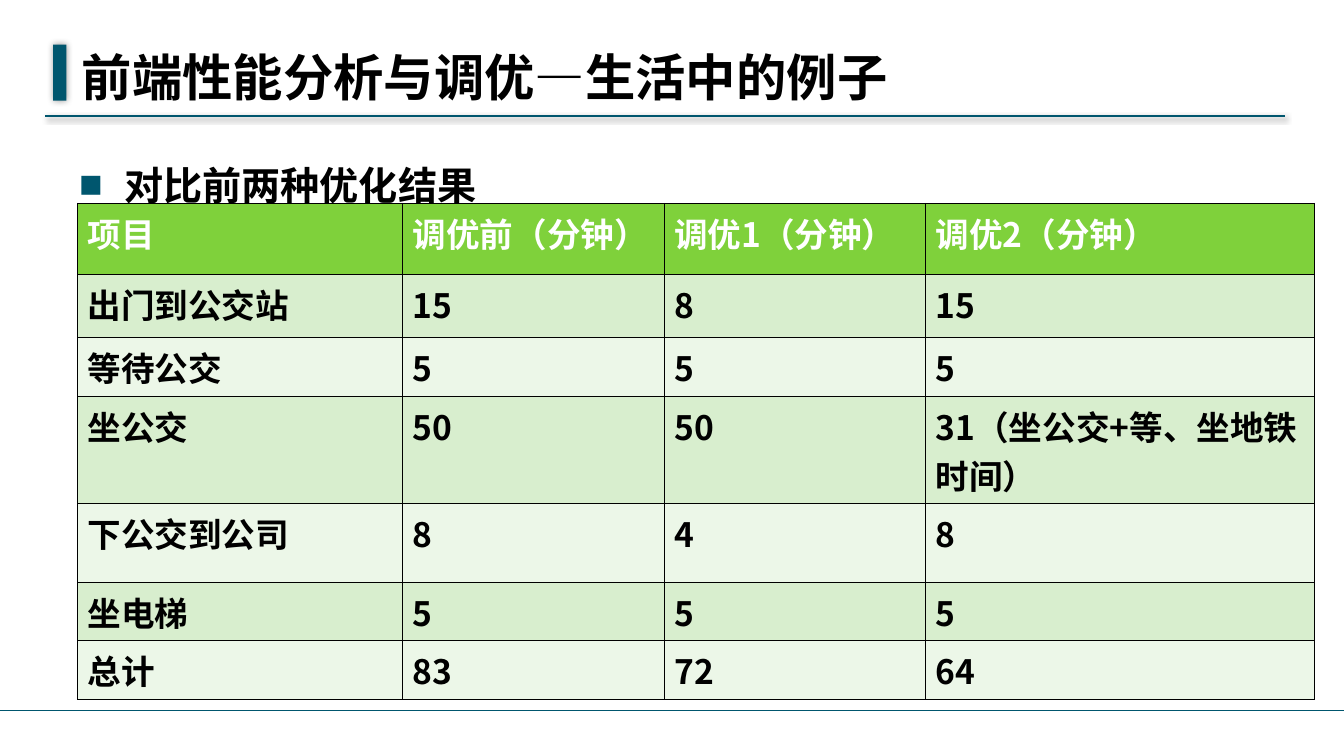
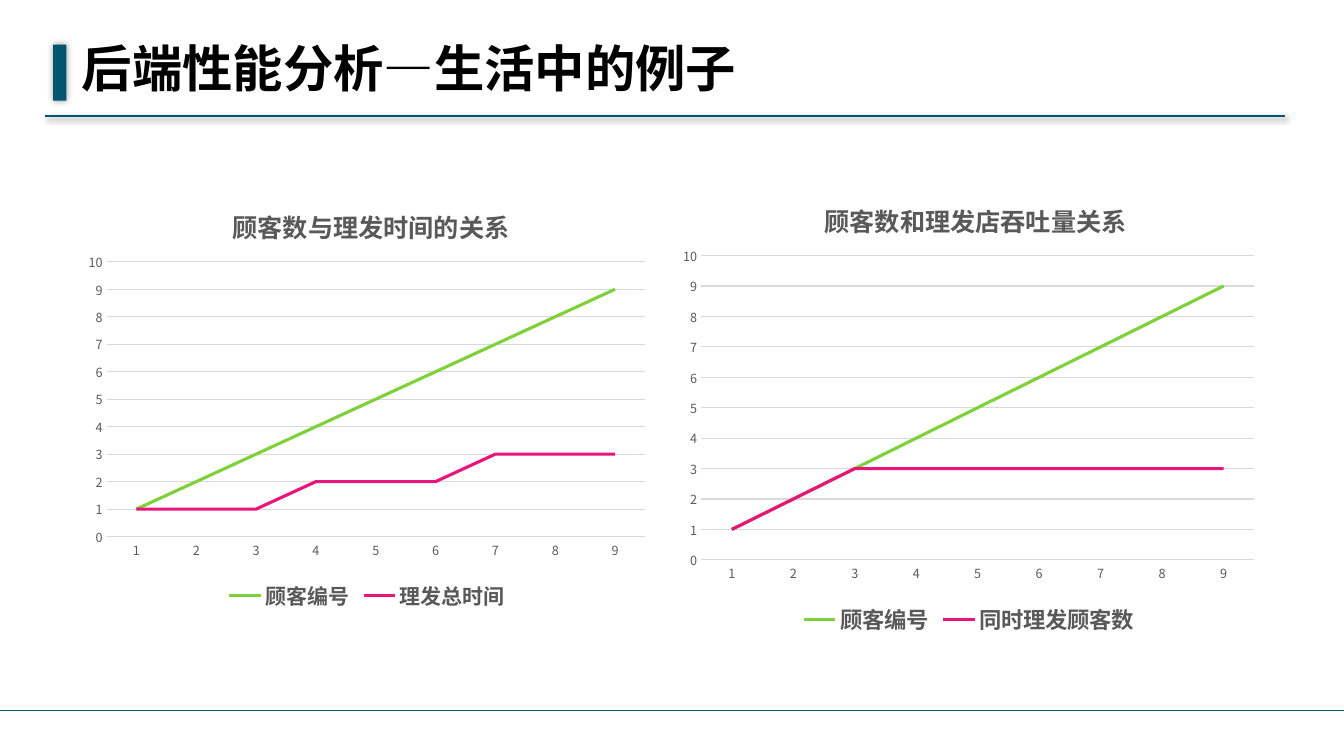
from dataclasses import dataclass
from typing import Any

from lxml import etree
from pptx import Presentation
from pptx import util as u
from pptx.chart import data
from pptx.dml import color
from pptx.enum import chart as charts
from pptx.enum import shapes, text
from pptx.oxml import ns

SANS = "Noto Sans CJK SC"
SERIF = "Times New Roman"
TEAL, GREEN, PINK = "00566E", "7FD13B", "EA157A"
BLACK, WHITE, GRAY, GRID = "000000", "FFFFFF", "595959", "D9D9D9"
BANDS = ("D8EECE", "ECF7E8")
WIDTH, HEIGHT = 961, 540
CUSTOMERS = tuple(range(1, 10))


@dataclass(frozen=True)
class Box:
    x: float
    y: float
    w: float
    h: float

    def lengths(self) -> tuple[u.Pt, ...]:
        return tuple(u.Pt(v) for v in (self.x, self.y, self.w, self.h))


@dataclass(frozen=True)
class LineChart:
    title: str
    box: Box
    title_at: tuple[float, float]
    plot: Box
    legend_size: float
    measure: str
    values: tuple[int, ...]


COLUMN_WIDTHS = (232.5, 187, 187, 278)
ROW_HEIGHTS = (51, 45, 38, 56, 56, 38, 38)
COMMUTE = (
    ("项目", "调优前（分钟）", "调优1（分钟）", "调优2（分钟）"),
    ("出门到公交站", "15", "8", "15"),
    ("等待公交", "5", "5", "5"),
    ("坐公交", "50", "50", "31（坐公交+等、坐地铁时间）"),
    ("下公交到公司", "8", "4", "8"),
    ("坐电梯", "5", "5", "5"),
    ("总计", "83", "72", "64"),
)
BARBER_CHARTS = (
    LineChart("顾客数和理发店吞吐量关系", Box(480, 122.5, 425.5, 335), (0.25, 0.05),
              Box(0.05, 0.18, 0.93, 0.65), 16, "同时理发顾客数",
              (1, 2, 3, 3, 3, 3, 3, 3, 3)),
    LineChart("顾客数与理发时间的关系", Box(55.5, 128, 414, 312), (0.26, 0.05),
              Box(0.05, 0.19, 0.93, 0.63), 15, "理发总时间",
              (1, 1, 1, 2, 2, 2, 3, 3, 3)),
)


def rgb(value: str) -> color.RGBColor:
    return color.RGBColor.from_string(value)


def add(parent: Any, tag: str, **attrs: Any) -> Any:
    return etree.SubElement(parent, ns.qn(tag), {k: str(v) for k, v in attrs.items()})


def style(font: Any, size: float, hue: str, bold: bool = False, name: str = SANS) -> None:
    font.name, font.size, font.bold = name, u.Pt(size), bold
    font.color.rgb = rgb(hue)


def set_east_asian(root: Any) -> None:
    for latin in list(root.iter(ns.qn("a:latin"))):
        ea = etree.Element(ns.qn("a:ea"), {"typeface": SANS})
        latin.addnext(ea)


def set_shadow(sp: Any, blur: float = 0, distance: float = 0, opacity: int = 0) -> None:
    effects = add(sp.element.spPr, "a:effectLst")
    if opacity:
        outer = add(effects, "a:outerShdw", blurRad=u.Pt(blur), dist=u.Pt(distance),
                    dir=5400000, algn="ctr", rotWithShape=0)
        hue = add(outer, "a:srgbClr", val=BLACK)
        add(hue, "a:alpha", val=opacity * 1000)


def add_rule(slide: Any, x1: float, x2: float, y: float) -> Any:
    rule = slide.shapes.add_connector(
        shapes.MSO_CONNECTOR.STRAIGHT, u.Pt(x1), u.Pt(y), u.Pt(x2), u.Pt(y))
    rule.line.color.rgb, rule.line.width = rgb(TEAL), u.Pt(1)
    return rule


def place(sp: Any, box: Box) -> Any:
    sp.left, sp.top, sp.width, sp.height = box.lengths()
    tf = sp.text_frame
    tf.word_wrap, tf.auto_size = True, text.MSO_AUTO_SIZE.NONE
    tf.margin_left = tf.margin_right = u.Pt(8.5)
    tf.margin_top = tf.margin_bottom = u.Pt(4.25)
    return tf


def add_slide(prs: Any, layout: int, title: str, title_top: float) -> Any:
    slide = prs.slides.add_slide(prs.slide_layouts[layout])
    set_shadow(add_rule(slide, 32.5, 919, 83), 4, 1.6, 42)
    bar = slide.shapes.add_shape(
        shapes.MSO_SHAPE.RECTANGLE, *Box(38, 32, 9.5, 40).lengths())
    bar.fill.solid()
    bar.fill.fore_color.rgb = rgb(TEAL)
    bar.line.fill.background()
    set_shadow(bar, 5, 0, 40)
    set_shadow(add_rule(slide, 0, WIDTH, 508))
    tf = place(slide.shapes.title, Box(50, title_top, 652, 45))
    tf.vertical_anchor = text.MSO_ANCHOR.MIDDLE
    tf.text = title
    p = tf.paragraphs[0]
    p.alignment = text.PP_ALIGN.LEFT
    style(p.font, 36, BLACK, True)
    return slide


def fill_body(slide: Any, words: str) -> None:
    tf = place(slide.placeholders[1], Box(48, 94, 865, 397))
    tf.vertical_anchor = text.MSO_ANCHOR.TOP
    tf.text = words
    p = tf.paragraphs[0]
    p.line_spacing, p.space_before = 1.5, u.Pt(0)
    props = p._p.get_or_add_pPr()
    props.set("marL", str(u.Pt(32.4)))
    props.set("indent", str(u.Pt(-32.4)))
    add(add(props, "a:buClr"), "a:srgbClr", val=TEAL)
    add(props, "a:buFont", typeface=SERIF)
    add(props, "a:buChar", char="■")
    style(p.font, 28, BLACK, True, SERIF)


def set_borders(cell: Any) -> None:
    props = cell._tc.get_or_add_tcPr()
    for side in "LRTB":
        ln = add(props, f"a:ln{side}", w=u.Pt(1))
        add(add(ln, "a:solidFill"), "a:srgbClr", val=BLACK)


def add_commute_table(slide: Any) -> None:
    box = Box(55.5, 145.5, sum(COLUMN_WIDTHS), sum(ROW_HEIGHTS))
    table = slide.shapes.add_table(
        len(ROW_HEIGHTS), len(COLUMN_WIDTHS), *box.lengths()).table
    for column, width in zip(table.columns, COLUMN_WIDTHS):
        column.width = u.Pt(width)
    for i, (row, height, words) in enumerate(zip(table.rows, ROW_HEIGHTS, COMMUTE)):
        row.height = u.Pt(height)
        for cell, word in zip(row.cells, words):
            set_borders(cell)
            cell.fill.solid()
            cell.fill.fore_color.rgb = rgb(BANDS[(i - 1) % 2] if i else GREEN)
            cell.text = word
            style(cell.text_frame.paragraphs[0].font, 24, BLACK if i else WHITE, True)


def set_layout(parent: Any, **values: Any) -> None:
    layout = parent.find(ns.qn("c:layout"))
    if layout is None:
        layout = etree.Element(ns.qn("c:layout"))
        before = parent.find(ns.qn("c:tx"))
        if before is None:
            parent.insert(0, layout)
        else:
            before.addnext(layout)
    manual = add(layout, "c:manualLayout")
    for tag, value in values.items():
        add(manual, f"c:{tag}", val=value)


def add_line_chart(slide: Any, item: LineChart) -> None:
    cd = data.CategoryChartData()
    cd.categories = [str(n) for n in CUSTOMERS]
    cd.add_series("顾客编号", CUSTOMERS)
    cd.add_series(item.measure, item.values)
    chart = slide.shapes.add_chart(
        charts.XL_CHART_TYPE.LINE, *item.box.lengths(), cd).chart
    style(chart.font, 10, BLACK)
    chart.has_title = True
    tf = chart.chart_title.text_frame
    tf.text = item.title
    style(tf.paragraphs[0].font, 18, GRAY, True)
    chart.chart_title.include_in_layout = False
    chart.has_legend = True
    chart.legend.position = charts.XL_LEGEND_POSITION.BOTTOM
    chart.legend.include_in_layout = False
    style(chart.legend.font, item.legend_size, GRAY, True)
    for axis in (chart.category_axis, chart.value_axis):
        axis.major_tick_mark = axis.minor_tick_mark = charts.XL_TICK_MARK.NONE
        style(axis.tick_labels.font, 9, GRAY)
    scale = chart.value_axis
    scale.minimum_scale, scale.maximum_scale, scale.major_unit = 0, 10, 1
    scale.format.line.fill.background()
    scale.has_major_gridlines = True
    for line in (chart.category_axis.format.line, scale.major_gridlines.format.line):
        line.color.rgb, line.width = rgb(GRID), u.Pt(0.75)
    chart.plots[0].vary_by_categories = False
    for series, hue in zip(chart.plots[0].series, (GREEN, PINK)):
        series.smooth = False
        series.marker.style = charts.XL_MARKER_STYLE.NONE
        series.format.line.color.rgb = rgb(hue)
        series.format.line.width = u.Pt(2.25)
    x, y = item.title_at
    set_layout(chart.chart_title.element, xMode="edge", yMode="edge", x=x, y=y)
    plot = item.plot
    set_layout(chart.element.find(".//" + ns.qn("c:plotArea")), layoutTarget="inner",
               xMode="edge", yMode="edge", x=plot.x, y=plot.y, w=plot.w, h=plot.h)
    set_east_asian(chart.element)


def main() -> None:
    prs = Presentation()
    prs.slide_width, prs.slide_height = u.Pt(WIDTH), u.Pt(HEIGHT)
    commute = add_slide(prs, 1, "前端性能分析与调优—生活中的例子", 32)
    fill_body(commute, "对比前两种优化结果")
    add_commute_table(commute)
    barber = add_slide(prs, 5, "后端性能分析—生活中的例子", 26)
    for item in BARBER_CHARTS:
        add_line_chart(barber, item)
    for slide in prs.slides:
        set_east_asian(slide.element)
    prs.save("out.pptx")


if __name__ == "__main__":
    main()
